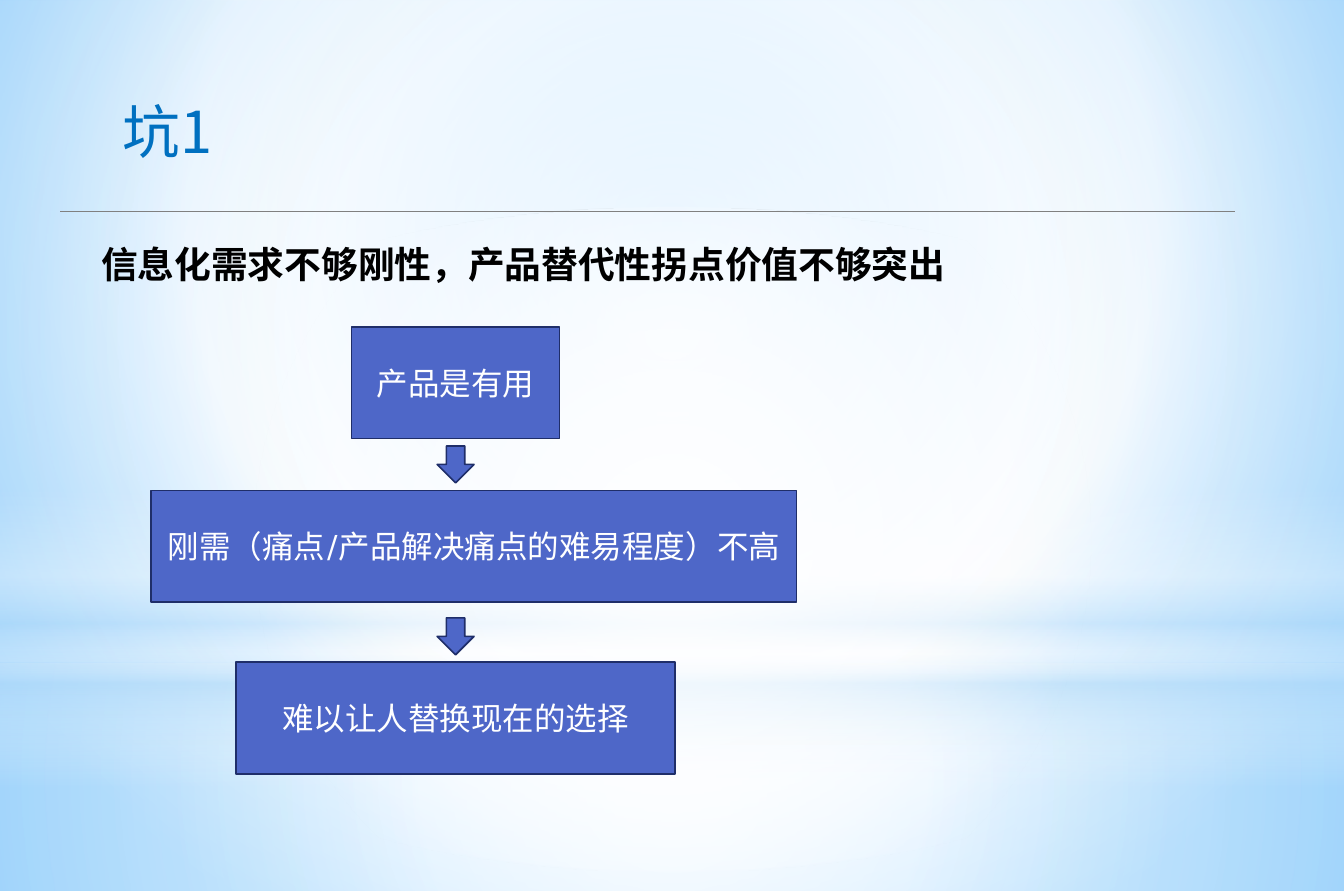
from dataclasses import dataclass

from lxml import etree
from pptx import Presentation
from pptx.dml.color import RGBColor
from pptx.enum.shapes import MSO_CONNECTOR, MSO_SHAPE
from pptx.enum.text import MSO_ANCHOR, MSO_AUTO_SIZE, PP_ALIGN
from pptx.oxml.ns import qn
from pptx.util import Inches, Pt

RECTANGLE, ELLIPSE, DOWN_ARROW = MSO_SHAPE.RECTANGLE, MSO_SHAPE.OVAL, MSO_SHAPE.DOWN_ARROW
STRAIGHT = MSO_CONNECTOR.STRAIGHT
MIDDLE, NO_AUTOFIT = MSO_ANCHOR.MIDDLE, MSO_AUTO_SIZE.NONE
LEFT, CENTER = PP_ALIGN.LEFT, PP_ALIGN.CENTER


@dataclass(frozen=True)
class Theme:
    title: str = "0070C0"
    text: str = "000000"
    light: str = "FFFFFF"
    sky: str = "B4DCFA"
    box: str = "4E67C8"
    outline: str = "1F2E69"
    rule: str = "808080"
    latin: str = "Karla"
    chinese: str = "Noto Sans CJK SC"
    title_size: int = 44
    lead_size: int = 28
    box_size: int = 24


THEME = Theme()


@dataclass(frozen=True)
class Box:
    left: int
    top: int
    width: int
    height: int

    def portion(self, left, top, width, height):
        return Box(
            round(self.left + self.width * left / 100),
            round(self.top + self.height * top / 100),
            round(self.width * width / 100),
            round(self.height * height / 100),
        )

    def frame(self):
        return self.left, self.top, self.width, self.height


CENTERED = (50, 50, 50, 50)
BACKGROUND = [(0, "9ED5FF", 100), (60, THEME.light, 100), (100, "5BB9FF", 100)]
BACKDROP = [
    (RECTANGLE, (0, 74.44, 100, 25.56), CENTERED,
     [(0, THEME.light, 91), (37, THEME.light, 76), (100, THEME.sky, 79)]),
    (RECTANGLE, (0, 0, 100, 74.44), CENTERED,
     [(0, THEME.light, 89), (48, THEME.light, 62), (100, THEME.sky, 79)]),
    (RECTANGLE, (0, 54.93, 100, 33.3), None,
     [(0, THEME.light, 0), (29, THEME.light, 30), (45, THEME.sky, 40),
      (55, THEME.light, 26), (65, THEME.sky, 60), (100, THEME.light, 0)]),
    (ELLIPSE, (0, 23.33, 100, 74.44), CENTERED,
     [(0, THEME.light, 100), (56, THEME.light, 0)]),
]
STEPS = [
    ("产品是有用", 47.15, 0, 32.21),
    ("刚需（痛点/产品解决痛点的难易程度）不高", 50, 36.58, 100),
    ("难以让人替换现在的选择", 47.15, 75.05, 68.08),
]
STEP_HEIGHT = 24.95
ARROW_AXIS, ARROW_RISE, ARROW_WIDTH, ARROW_HEIGHT = 47.15, 9.94, 5.71, 8.25


def set_gradient(owner, fill, stops, focus=None):
    fill.solid()
    solid = next(owner.iter(qn("a:solidFill")))
    gradient = etree.Element(qn("a:gradFill"), rotWithShape="1")
    stop_list = etree.SubElement(gradient, qn("a:gsLst"))
    for position, color, opacity in stops:
        stop = etree.SubElement(stop_list, qn("a:gs"), pos=str(position * 1000))
        tint = etree.SubElement(stop, qn("a:srgbClr"), val=color)
        if opacity < 100:
            etree.SubElement(tint, qn("a:alpha"), val=str(opacity * 1000))
    if focus:
        radial = etree.SubElement(gradient, qn("a:path"), {"path": "circle"})
        sides = {side: str(share * 1000) for side, share in zip("ltrb", focus)}
        etree.SubElement(radial, qn("a:fillToRect"), sides)
    else:
        etree.SubElement(gradient, qn("a:lin"), ang="5400000", scaled="0")
    solid.getparent().replace(solid, gradient)


def set_text(shape, text, alignment, color, wrap=True, font=THEME.latin, **font_format):
    frame = shape.text_frame
    frame_format = {"auto_size": NO_AUTOFIT, "word_wrap": wrap, "vertical_anchor": MIDDLE}
    for name, value in frame_format.items():
        setattr(frame, name, value)
    paragraph = frame.paragraphs[0]
    paragraph.alignment = alignment
    paragraph.space_before = Pt(0)
    run = paragraph.add_run()
    run.text = text
    for name, value in {"name": font, **font_format}.items():
        setattr(run.font, name, value)
    run.font.color.rgb = RGBColor.from_string(color)
    latin = run.font._element.find(qn("a:latin"))
    latin.addnext(etree.Element(qn("a:ea"), typeface=THEME.chinese))
    return paragraph


def place(shape, box):
    for name in ("left", "top", "width", "height"):
        setattr(shape, name, getattr(box, name))


def add_backdrop(slide, box):
    set_gradient(slide.element, slide.background.fill, BACKGROUND, (20, 10, 20, 60))
    for index, (kind, area, focus, stops) in enumerate(BACKDROP):
        shape = slide.shapes.add_shape(kind, *box.portion(*area).frame())
        shape.shadow.inherit = False
        shape.line.fill.background()
        set_gradient(shape.element, shape.fill, stops, focus)
        slide.shapes.element.insert(2 + index, shape.element)


def add_heading(slide, box):
    title, lead = slide.placeholders
    place(title, box.portion(8.16, 9.97, 58.44, 9.33))
    title.text_frame.margin_left = title.text_frame.margin_right = Inches(0.14)
    set_text(title, "坑1", LEFT, THEME.title, font=THEME.chinese, size=Pt(THEME.title_size))

    place(lead, box.portion(6.82, 26.62, 83.61, 6.04))
    paragraph = set_text(lead, "信息化需求不够刚性，产品替代性拐点价值不够突出",
                         LEFT, THEME.text, size=Pt(THEME.lead_size), bold=True)
    properties = paragraph._p.get_or_add_pPr()
    properties.set("marL", "0")
    properties.set("indent", "0")
    etree.SubElement(properties, qn("a:buNone"))

    rule = box.portion(4.5, 23.75, 87.41, 0)
    line = slide.shapes.add_connector(
        STRAIGHT, rule.left, rule.top, rule.left + rule.width, rule.top)
    line.line.color.rgb = RGBColor.from_string(THEME.rule)
    line.line.width = Pt(0.75)
    etree.SubElement(line.element.spPr, qn("a:effectLst"))


def add_flow_shape(slide, kind, box):
    shape = slide.shapes.add_shape(kind, *box.frame())
    shape.shadow.inherit = False
    shape.fill.solid()
    shape.fill.fore_color.rgb = RGBColor.from_string(THEME.box)
    shape.line.color.rgb = RGBColor.from_string(THEME.outline)
    shape.line.width = Pt(1.25)
    return shape


def add_flow(slide, box):
    for index, (text, center, top, width) in enumerate(STEPS):
        if index:
            arrow = box.portion(ARROW_AXIS - ARROW_WIDTH / 2, top - ARROW_RISE,
                                ARROW_WIDTH, ARROW_HEIGHT)
            add_flow_shape(slide, DOWN_ARROW, arrow)
        area = box.portion(center - width / 2, top, width, STEP_HEIGHT)
        step = add_flow_shape(slide, RECTANGLE, area)
        set_text(step, text, CENTER, THEME.light, wrap=False, size=Pt(THEME.box_size))


def main():
    presentation = Presentation()
    presentation.slide_width = Inches(14.22)
    presentation.slide_height = Inches(9.43)
    slide = presentation.slides.add_slide(presentation.slide_layouts[1])
    page = Box(0, 0, presentation.slide_width, presentation.slide_height)
    add_backdrop(slide, page)
    add_heading(slide, page)
    add_flow(slide, page.portion(11.25, 36.69, 48.03, 50.16))
    presentation.save("out.pptx")


if __name__ == "__main__":
    main()
